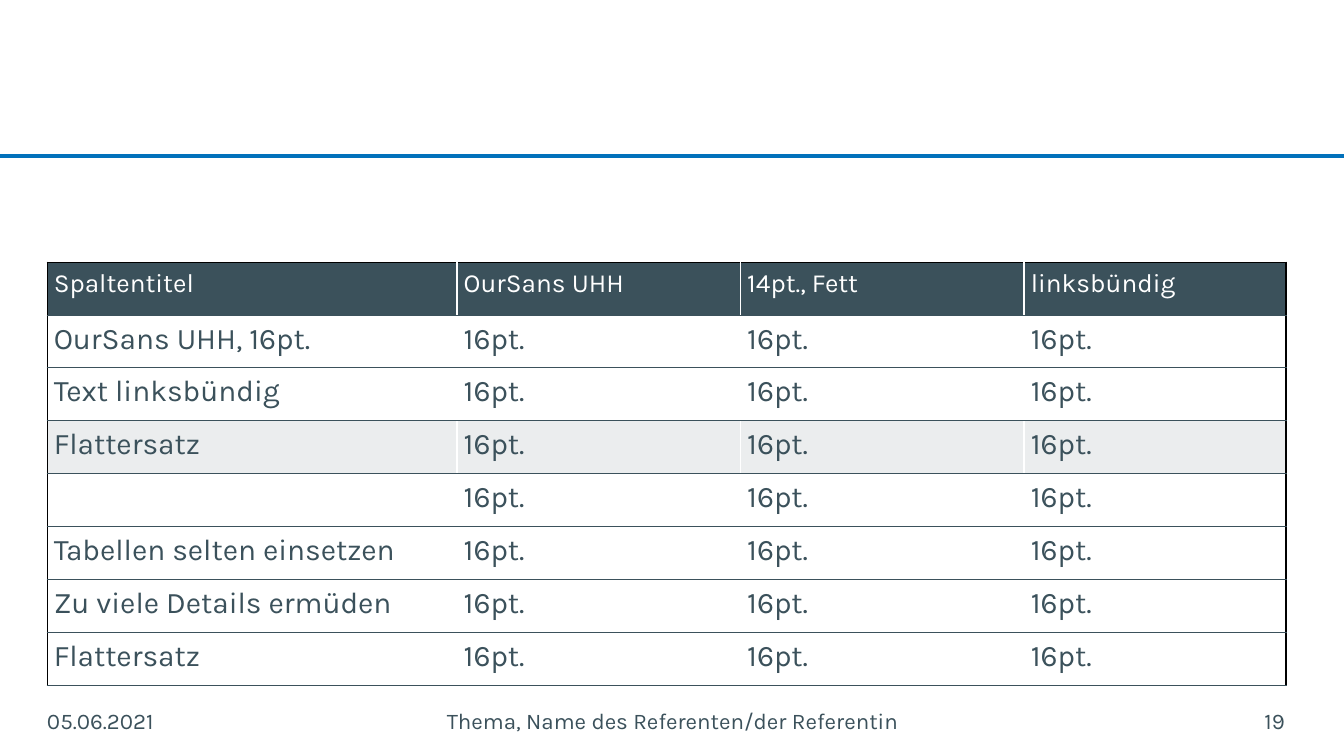
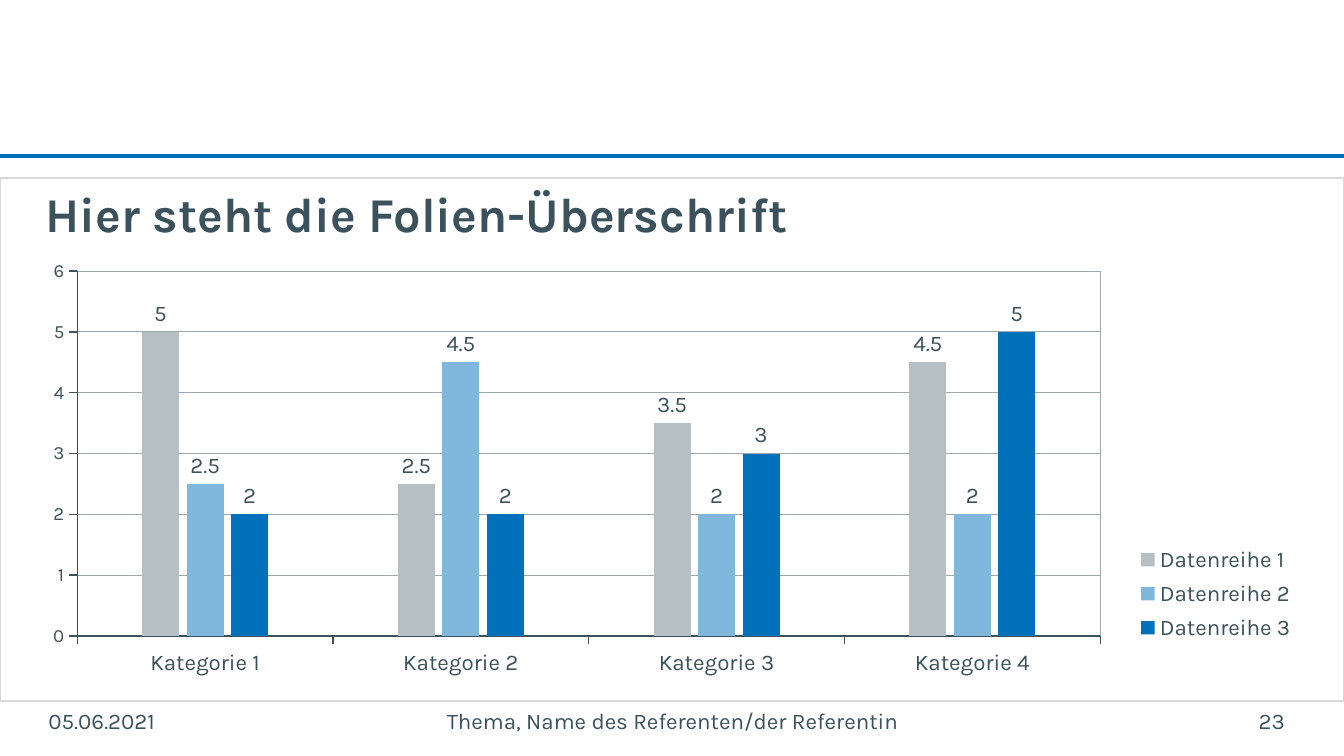
from pptx import Presentation
from pptx.chart.data import CategoryChartData
from pptx.dml.color import RGBColor
from pptx.enum.chart import XL_CHART_TYPE, XL_LABEL_POSITION, XL_LEGEND_POSITION, XL_TICK_MARK
from pptx.enum.shapes import MSO_CONNECTOR
from pptx.enum.text import MSO_ANCHOR, MSO_AUTO_SIZE, PP_ALIGN
from pptx.oxml import parse_xml
from pptx.oxml.ns import nsdecls, qn
from pptx.util import Inches, Pt

FONT = "Karla"
SLATE, BLUE, WHITE, BLACK = "3B515B", "0271BB", "FFFFFF", "000000"
GREY, LIGHT_BLUE, GRID, FRAME = "B6BFC3", "80B8DD", "9DA8AD", "D9D9D9"


def style_font(font, size, color=SLATE, bold=False):
    font.name = FONT
    font.size = Pt(size)
    font.bold = bold
    font.color.rgb = RGBColor.from_string(color)


def set_layout(parent, index, x, y, width, height, target=""):
    """Give a chart part a fixed place, as fractions of the chart."""
    for old in parent.findall(qn("c:layout")):
        parent.remove(old)
    parent.insert(index, parse_xml(
        f'<c:layout {nsdecls("c")}><c:manualLayout>{target}'
        '<c:xMode val="edge"/><c:yMode val="edge"/>'
        f'<c:x val="{x}"/><c:y val="{y}"/><c:w val="{width}"/><c:h val="{height}"/>'
        '</c:manualLayout></c:layout>'))


# Widescreen deck, 16:9
deck = Presentation()
deck.slide_width = Inches(10)
deck.slide_height = Inches(10 * 9 / 16)
table_page = deck.slides.add_slide(deck.slide_layouts[6])
chart_page = deck.slides.add_slide(deck.slide_layouts[5])

# Blue rule, shared through the slide master
rule = table_page.shapes.add_connector(
    MSO_CONNECTOR.STRAIGHT, 0, Inches(1.16), Inches(10), Inches(1.16))
rule.line.color.rgb = RGBColor.from_string(BLUE)
rule.line.width = Pt(2)
rule._element.spPr.append(parse_xml(f'<a:effectLst {nsdecls("a")}/>'))
rule._element.nvCxnSpPr.cNvPr.set("id", "20")
deck.slide_master.shapes._spTree.append(rule._element)

# Table
header = ["Spaltentitel", "OurSans UHH", "14pt., Fett", "linksbündig"]
row_titles = ["OurSans UHH, 16pt.", "Text linksbündig", "Flattersatz", "",
              "Tabellen selten einsetzen", "Zu viele Details ermüden", "Flattersatz"]
rows = [header] + [[title] + ["16pt."] * 3 for title in row_titles]
shaded_row = 3
last_column = len(header) - 1

table = table_page.shapes.add_table(
    len(rows), len(header), Inches(0.35), Inches(1.95), Inches(9.21), Inches(3.15)).table
for column, width in zip(table.columns, [3.05, 2.11, 2.11, 1.95]):
    column.width = Inches(width)

for row_index, row in enumerate(rows):
    for column_index, text in enumerate(row):
        cell = table.cell(row_index, column_index)
        cell.margin_left = cell.margin_right = Inches(0.05)
        cell.margin_top = cell.margin_bottom = Inches(0.05)
        is_header = row_index == 0
        size = 14 if is_header else 16
        cell.text_frame.text = text
        para = cell.text_frame.paragraphs[0]
        for span in para.runs:
            style_font(span.font, size, WHITE if is_header else SLATE)
        if not text:
            para._p.get_or_add_endParaRPr().set("sz", str(size * 100))

        # Borders: white between columns, slate between rows, black outside
        borders = {
            "lnL": (BLACK, 0.5) if column_index == 0 else (WHITE, 0.96),
            "lnR": (BLACK, 1) if column_index == last_column else (WHITE, 0.96),
            "lnT": (BLACK, 0.5) if is_header else (SLATE, 0.5),
            "lnB": (SLATE, 0.5),
        }
        for side, (color, points) in borders.items():
            cell._tc.get_or_add_tcPr().append(parse_xml(
                f'<a:{side} {nsdecls("a")} w="{Pt(points)}"><a:solidFill>'
                f'<a:srgbClr val="{color}"/></a:solidFill></a:{side}>'))

        if is_header:
            cell.fill.solid()
            cell.fill.fore_color.rgb = RGBColor.from_string(SLATE)
        elif row_index == shaded_row:
            cell.fill.solid()
            cell.fill.fore_color.rgb = RGBColor.from_string(GRID)
            shade = cell._tc.tcPr.find(qn("a:solidFill")).find(qn("a:srgbClr"))
            shade.append(parse_xml(f'<a:alpha {nsdecls("a")} val="20000"/>'))
        else:
            cell.fill.background()

# Chart title
title = chart_page.shapes.title
title.left, title.top = Inches(0.24), Inches(1.32)
title.width, title.height = Inches(9.33), Inches(0.55)
frame = title.text_frame
frame.text = "Hier steht die Folien-Überschrift"
frame.auto_size = MSO_AUTO_SIZE.NONE
frame.vertical_anchor = MSO_ANCHOR.TOP
frame.paragraphs[0].alignment = PP_ALIGN.LEFT
style_font(frame.paragraphs[0].runs[0].font, 26, bold=True)

# Column chart
series_rows = [
    ("Datenreihe 1", [5, 2.5, 3.5, 4.5], GREY),
    ("Datenreihe 2", [2.5, 4.5, 2, 2], LIGHT_BLUE),
    ("Datenreihe 3", [2, 2, 3, 5], BLUE),
]
data = CategoryChartData(number_format="General")
data.categories = [f"Kategorie {number}" for number in range(1, 5)]
for name, values, color in series_rows:
    data.add_series(name, values)
chart = chart_page.shapes.add_chart(
    XL_CHART_TYPE.COLUMN_CLUSTERED, 0, Inches(1.32), Inches(10), Inches(3.9), data).chart
chart.has_title = False
style_font(chart.font, 10)

plot = chart.plots[0]
plot.gap_width = 350
plot.overlap = -20
plot.vary_by_categories = False
for series, (name, values, color) in zip(plot.series, series_rows):
    series.format.fill.solid()
    series.format.fill.fore_color.rgb = RGBColor.from_string(color)
    labels = series.data_labels
    labels.show_value = True
    labels.position = XL_LABEL_POSITION.OUTSIDE_END
    labels.number_format = "General"
    labels.number_format_is_linked = False
    style_font(labels.font, 12)

# Axes and grid
for axis, size in [(chart.category_axis, 12), (chart.value_axis, 10)]:
    axis.major_tick_mark = XL_TICK_MARK.OUTSIDE
    axis.minor_tick_mark = XL_TICK_MARK.NONE
    axis.format.line.color.rgb = RGBColor.from_string(SLATE)
    axis.format.line.width = Pt(0.75)
    style_font(axis.tick_labels.font, size)
value_axis = chart.value_axis
value_axis.minimum_scale, value_axis.maximum_scale, value_axis.major_unit = 0, 6, 1
value_axis.has_major_gridlines = True
value_axis.major_gridlines.format.line.color.rgb = RGBColor.from_string(GRID)
value_axis.major_gridlines.format.line.width = Pt(0.5)

# Legend, plot area and chart frame
chart.has_legend = True
chart.legend.position = XL_LEGEND_POSITION.RIGHT
chart.legend.include_in_layout = False
style_font(chart.legend.font, 12)
set_layout(chart.legend._element, 1, 0.84, 0.69, 0.13, 0.21)

chart_part = chart._chartSpace.find(qn("c:chart"))
plot_area = chart_part.find(qn("c:plotArea"))
set_layout(plot_area, 0, 0.057, 0.178, 0.762, 0.698, '<c:layoutTarget val="inner"/>')
plot_fill = f'<a:solidFill><a:srgbClr val="{WHITE}"/></a:solidFill>'
for add, fill, color, points in [(plot_area.append, plot_fill, GRID, 0.5),
                                 (chart_part.addnext, "<a:noFill/>", FRAME, 0.75)]:
    add(parse_xml(
        f'<c:spPr {nsdecls("c", "a")}>{fill}<a:ln w="{Pt(points)}"><a:solidFill>'
        f'<a:srgbClr val="{color}"/></a:solidFill></a:ln></c:spPr>'))

# Footers
for page, number, date_left in [(table_page, "19", 0.35), (chart_page, "23", 0.36)]:
    footers = [
        ("05.06.2021", date_left, 2.33, PP_ALIGN.LEFT, 0, 0.1),
        ("Thema, Name des Referenten/der Referentin", 3.11, 3.79, PP_ALIGN.CENTER, 0.1, 0.1),
        (number, 7.23, 2.33, PP_ALIGN.RIGHT, 0.1, 0),
    ]
    for text, left, width, alignment, inset_left, inset_right in footers:
        box = page.shapes.add_textbox(Inches(left), Inches(5.21), Inches(width), Inches(0.3))
        frame = box.text_frame
        frame.word_wrap = True
        frame.vertical_anchor = MSO_ANCHOR.MIDDLE
        frame.margin_left, frame.margin_right = Inches(inset_left), Inches(inset_right)
        frame.text = text
        frame.paragraphs[0].alignment = alignment
        style_font(frame.paragraphs[0].runs[0].font, 12)

deck.save("out.pptx")
